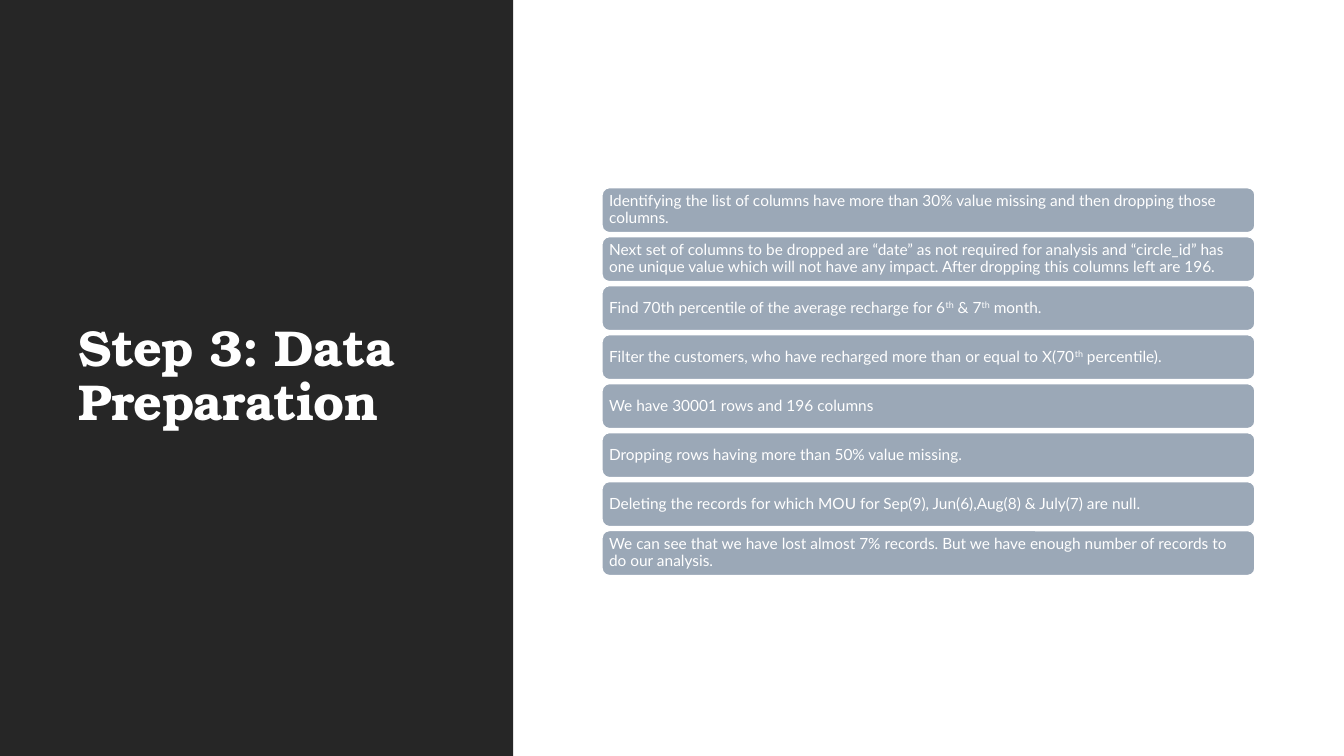
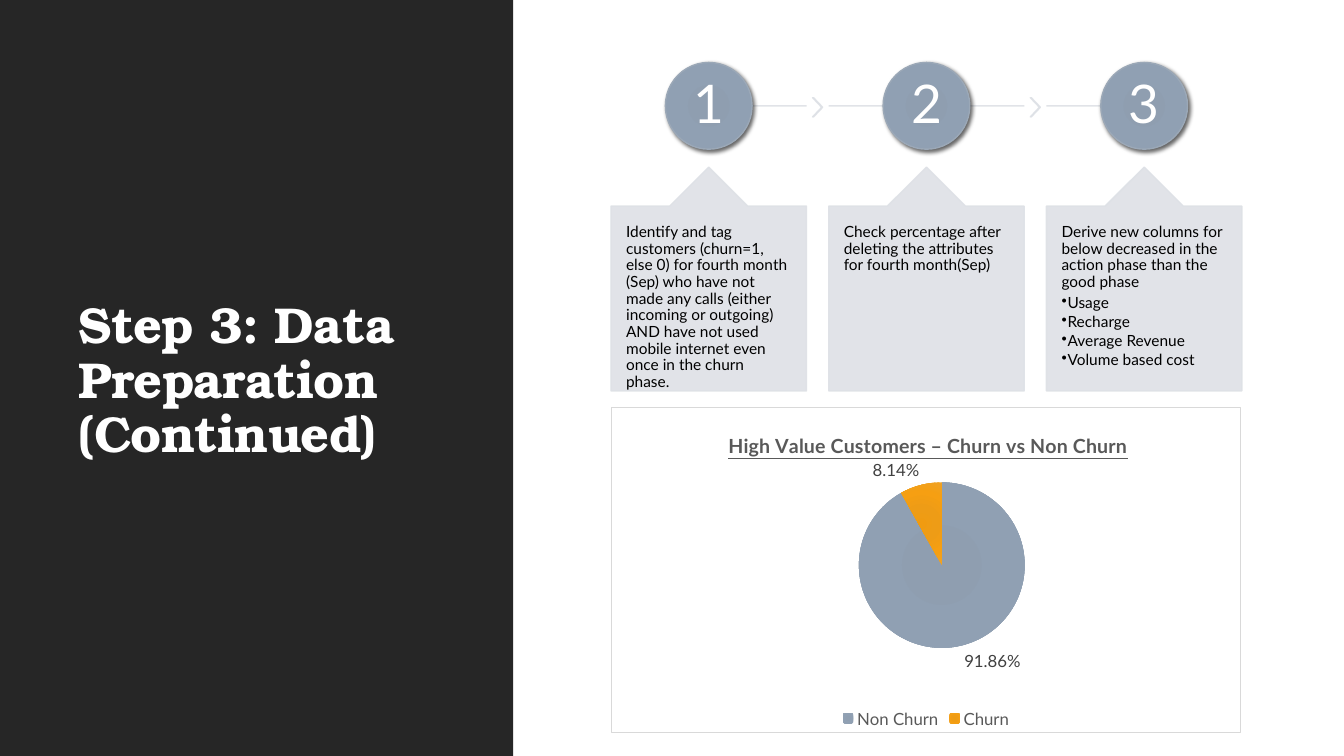
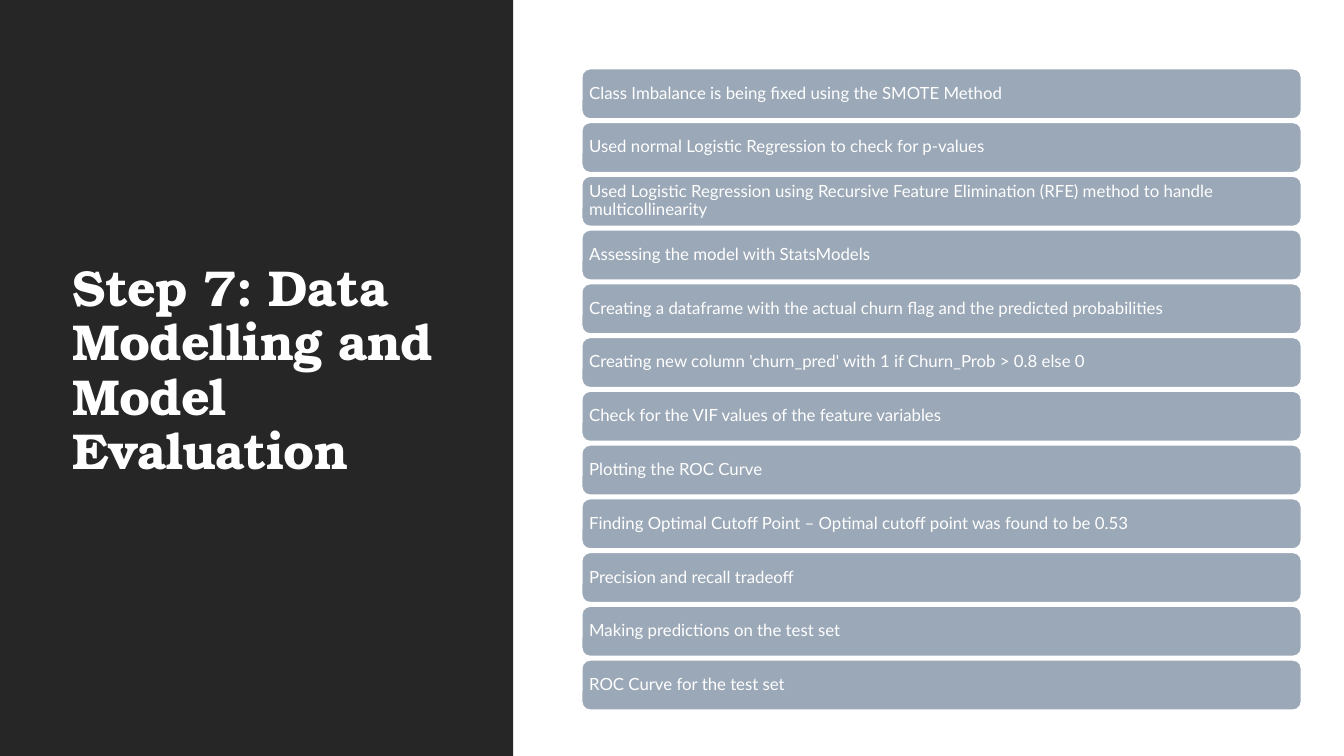
from pptx import Presentation
from pptx.chart.data import CategoryChartData
from pptx.dml.color import RGBColor
from pptx.enum.chart import XL_CHART_TYPE as ChartType, XL_LABEL_POSITION as LabelPos, XL_LEGEND_POSITION as LegendPos
from pptx.enum.shapes import MSO_CONNECTOR as Connector, MSO_SHAPE as Shape
from pptx.enum.text import MSO_ANCHOR as Anchor, MSO_AUTO_SIZE as AutoSize, PP_ALIGN as Align
from pptx.oxml import parse_xml
from pptx.oxml.ns import nsdecls, qn
from pptx.util import Inches, Pt

THEME = {
    "band": RGBColor.from_string("262626"),
    "white": RGBColor.from_string("FFFFFF"),
    "black": RGBColor.from_string("000000"),
    "slate": RGBColor.from_string("9BA8B7"),
    "mist": RGBColor.from_string("DEE1E6"),
    "legend": RGBColor.from_string("595959"),
    "label": RGBColor.from_string("404040"),
    "slate_glow": ["8D9CAE", "8F9EB0", "90A0B3", "9AA8B8"],
    "amber_glow": ["F09B11", "EE9C16", "F69F12", "EFA225"],
    "title_font": "TeX Gyre Bonum",
    "body_font": "Lato",
    "title": 36,
    "number": 38,
    "chart_title": 14,
    "large": 12,
    "small": 11,
    "chart": 10,
}

deck = Presentation()
deck.slide_width, deck.slide_height = Inches(13.33), Inches(7.5)


def place(left, top, width, height):
    across, down = deck.slide_width / 100, deck.slide_height / 100
    return int(left * across), int(top * down), int(width * across), int(height * down)


def write(shape, lines, size, color, font="body_font", anchor=Anchor.MIDDLE,
          align=Align.LEFT, inset=(0.05, 0.05), bold=False):
    frame = shape.text_frame
    frame.word_wrap, frame.auto_size, frame.vertical_anchor = True, AutoSize.NONE, anchor
    frame.margin_left = frame.margin_right = Inches(inset[0])
    frame.margin_top = frame.margin_bottom = Inches(inset[1])
    frame.text = "\n".join(lines)
    for paragraph in frame.paragraphs:
        parts = paragraph.text.split("^")
        paragraph.text = parts[0]
        for part in parts[1:]:
            paragraph.add_run().text = part
        paragraph.alignment, paragraph.line_spacing = align, 0.9
        for index, run in enumerate(paragraph.runs):
            run.font.name, run.font.size = THEME[font], Pt(THEME[size])
            run.font.color.rgb, run.font.bold = THEME[color], bold
            if index % 2:
                run.font._element.set("baseline", "30000")


title_layout = deck.slide_layouts[5]
slides = []
for heading, area in [
    ("Step 3: Data Preparation", (5.1, 27.2, 28.88, 30.53)),
    ("Step 3: Data Preparation (Continued)", (5.1, 38.13, 28.88, 23.87)),
    ("Step 7: Data Modelling and Model Evaluation", (4.65, 33.73, 28.88, 30.53)),
]:
    slide = deck.slides.add_slide(title_layout)
    title = slide.shapes.title
    title.left, title.top, title.width, title.height = place(*area)
    write(title, [heading], "title", "white", "title_font", Anchor.BOTTOM, inset=(0.1, 0.05), bold=True)
    for run in title.text_frame.paragraphs[0].runs:
        run.font._element.set("spc", "-50")
    slides.append(slide)
preparation, continued, modelling = slides

band = preparation.shapes.add_shape(Shape.RECTANGLE, *place(0, 0, 38.19, 100))
band.shadow.inherit = False
band.fill.solid()
band.fill.fore_color.rgb = THEME["band"]
band.line.fill.background()
title_layout.shapes.element.insert(2, band.element)

preparation_steps = [
    "Identifying the list of columns have more than 30% value missing and then dropping those columns.",
    "Next set of columns to be dropped are “date” as not required for analysis and “circle_id” has one unique value which will not have any impact. After dropping this columns left are 196.",
    "Find 70th percentile of the average recharge for 6^th^ & 7^th^ month.",
    "Filter the customers, who have recharged more than or equal to X(70^th^ percentile).",
    "We have 30001 rows and 196 columns",
    "Dropping rows having more than 50% value missing.",
    "Deleting the records for which MOU for Sep(9), Jun(6),Aug(8) & July(7) are null.",
    "We can see that we have lost almost 7% records. But we have enough number of records to do our analysis.",
]
modelling_steps = [
    "Class Imbalance is being fixed using the SMOTE Method",
    "Used normal Logistic Regression to check for p-values",
    "Used Logistic Regression using Recursive Feature Elimination (RFE) method to handle multicollinearity",
    "Assessing the model with StatsModels",
    "Creating a dataframe with the actual churn flag and the predicted probabilities",
    "Creating new column 'churn_pred' with 1 if Churn_Prob > 0.8 else 0",
    "Check for the VIF values of the feature variables",
    "Plotting the ROC Curve",
    "Finding Optimal Cutoff Point – Optimal cutoff point was found to be 0.53",
    "Precision and recall tradeoff",
    "Making predictions on the test set",
    "ROC Curve for the test set",
]
for slide, steps, size, left, width, top, height, pitch in [
    (preparation, preparation_steps, "small", 44.78, 48.61, 24.8, 6, 6.48),
    (modelling, modelling_steps, "large", 43.28, 53.56, 9.07, 6.67, 7.11),
]:
    for row, step in enumerate(steps):
        bar = slide.shapes.add_shape(Shape.ROUNDED_RECTANGLE, *place(left, top + row * pitch, width, height))
        bar.shadow.inherit = False
        bar.fill.solid()
        bar.fill.fore_color.rgb = THEME["slate"]
        bar.line.color.rgb, bar.line.width = THEME["white"], Pt(1.25)
        write(bar, [step], size, "white")

phases = [
    ["Identify and tag customers (churn=1, else 0) for fourth month (Sep) who have not made any calls (either incoming or outgoing) AND have not used mobile internet even once in the churn phase."],
    ["Check percentage after deleting the attributes for fourth month(Sep)"],
    ["Derive new columns for below decreased in the action phase than the good phase",
     "Usage", "Recharge", "Average Revenue", "Volume based cost"],
]
first_left, column, pitch = 45.46, 14.55, 16.2
badge_width, badge_height, axis = 6.45, 11.47, 14
last = len(phases) - 1
glows = []
for index, phase in enumerate(phases):
    left = first_left + index * pitch
    center = left + column / 2
    start = left if index else center
    end = left + column if index < last else center
    x, y, length, _ = place(start, axis, end - start, 0)
    track = continued.shapes.add_connector(Connector.STRAIGHT, x, y, x + length, y)
    track.element.spPr.append(parse_xml(f"<a:effectLst {nsdecls('a')}/>"))
    track.line.color.rgb, track.line.width = THEME["mist"], Pt(1)

    callout = continued.shapes.add_shape(Shape.UP_ARROW_CALLOUT, *place(left, 22.1, column, 29.6))
    for position, value in enumerate([0.5, 0.2, 0.2, 1]):
        callout.adjustments[position] = value
    pale = [callout]
    if index < last:
        gap_center = left + (column + pitch) / 2
        arrow = continued.shapes.add_shape(Shape.CHEVRON, *place(gap_center - 0.37, 12.93, 0.75, 2.53))
        arrow.adjustments[0] = 0.9
        pale.append(arrow)
    for shape in pale:
        shape.shadow.inherit = False
        shape.fill.solid()
        shape.fill.fore_color.rgb = THEME["mist"]
        shape.line.color.rgb, shape.line.width = THEME["mist"], Pt(1)
    for shape in pale + [track]:
        for tint in shape.element.spPr.iter(qn("a:srgbClr")):
            tint.append(parse_xml(f'<a:alpha {nsdecls("a")} val="90000"/>'))

    write(callout, phase, "small", "black", anchor=Anchor.TOP, inset=(0.15, 0.18))
    for order, paragraph in enumerate(callout.text_frame.paragraphs):
        paragraph.space_after = Pt(1.7 if order else 3.2)
        if order:
            properties = paragraph._p.get_or_add_pPr()
            properties.set("marL", str(Inches(0.06)))
            properties.set("indent", str(-Inches(0.06)))
            properties.append(parse_xml(f'<a:buChar {nsdecls("a")} char="•"/>'))

    badge = continued.shapes.add_shape(
        Shape.OVAL, *place(center - badge_width / 2, axis - badge_height / 2, badge_width, badge_height))
    badge.shadow.inherit = False
    badge.fill.background()
    badge.line.color.rgb, badge.line.width = THEME["slate"], Pt(1)
    badge.element.spPr.find(qn("a:effectLst")).append(parse_xml(
        f'<a:outerShdw {nsdecls("a")} blurRad="38100" dist="25400" dir="2700000">'
        '<a:srgbClr val="000000"><a:alpha val="60000"/></a:srgbClr></a:outerShdw>'))
    write(badge, [str(index + 1)], "number", "white", align=Align.CENTER, inset=(0.03, 0.03))
    glows.append((badge.element.spPr, "slate_glow"))

churn_data = CategoryChartData(number_format="0.00%")
churn_data.categories = ["Non Churn", "Churn"]
churn_data.add_series("Series 1", [0.9186, 0.0814])
chart = continued.shapes.add_chart(
    ChartType.PIE, *place(first_left, 53.87, 46.9, 43.07), churn_data).chart
chart.font.name, chart.font.size = THEME["body_font"], Pt(THEME["chart"])
chart.has_title = True
chart.chart_title.text_frame.text = "High Value Customers – Churn vs Non Churn"
chart_heading = chart.chart_title.text_frame.paragraphs[0].runs[0].font
chart_heading.bold = chart_heading.underline = True
chart.has_legend = True
chart.legend.position, chart.legend.include_in_layout = LegendPos.BOTTOM, False
pie = chart.plots[0]
pie.vary_by_categories = True
pie.has_data_labels = True
labels = pie.data_labels
labels.show_value, labels.show_percentage = True, False
labels.number_format, labels.number_format_is_linked = "0.00%", False
labels.position = LabelPos.OUTSIDE_END
for font, size, color in [
    (chart_heading, "chart_title", "legend"),
    (chart.legend.font, "large", "legend"),
    (labels.font, "large", "label"),
]:
    font.name, font.size, font.color.rgb = THEME["body_font"], Pt(THEME[size]), THEME[color]

for index in range(2):
    pie.series[0].points[index].format.fill.background()
slices = chart.element.iter(qn("c:dPt"))
glows += [(wedge.find(qn("c:spPr")), glow) for wedge, glow in zip(slices, ["slate_glow", "amber_glow"])]
for properties, glow in glows:
    stops = "".join(f'<a:gs pos="{position}000"><a:srgbClr val="{tint}"/></a:gs>'
                    for position, tint in zip([0, 34, 70, 100], THEME[glow]))
    properties.replace(properties.find(qn("a:noFill")), parse_xml(
        f'<a:gradFill {nsdecls("a")} rotWithShape="1"><a:gsLst>{stops}</a:gsLst><a:path path="circle">'
        '<a:fillToRect l="100000" t="100000" r="100000" b="100000"/></a:path></a:gradFill>'))

chart_root = chart.element.find(qn("c:chart"))
chart_root.addnext(parse_xml(
    f'<c:spPr {nsdecls("c", "a")}><a:noFill/><a:ln w="9525"><a:solidFill><a:srgbClr val="D9D9D9"/>'
    '</a:solidFill></a:ln></c:spPr>'))
for tag, index, settings in [
    ("c:title", 1, [("xMode", "edge"), ("yMode", "edge"), ("x", 0.18), ("y", 0.06)]),
    ("c:plotArea", 0, [("layoutTarget", "inner"), ("xMode", "edge"), ("yMode", "edge"),
                       ("x", 0.35), ("y", 0.23), ("w", 0.35), ("h", 0.51)]),
]:
    part = chart_root.find(qn(tag))
    for automatic in part.findall(qn("c:layout")):
        part.remove(automatic)
    values = "".join(f'<c:{name} val="{value}"/>' for name, value in settings)
    part.insert(index, parse_xml(
        f'<c:layout {nsdecls("c")}><c:manualLayout>{values}</c:manualLayout></c:layout>'))

deck.save("out.pptx")
